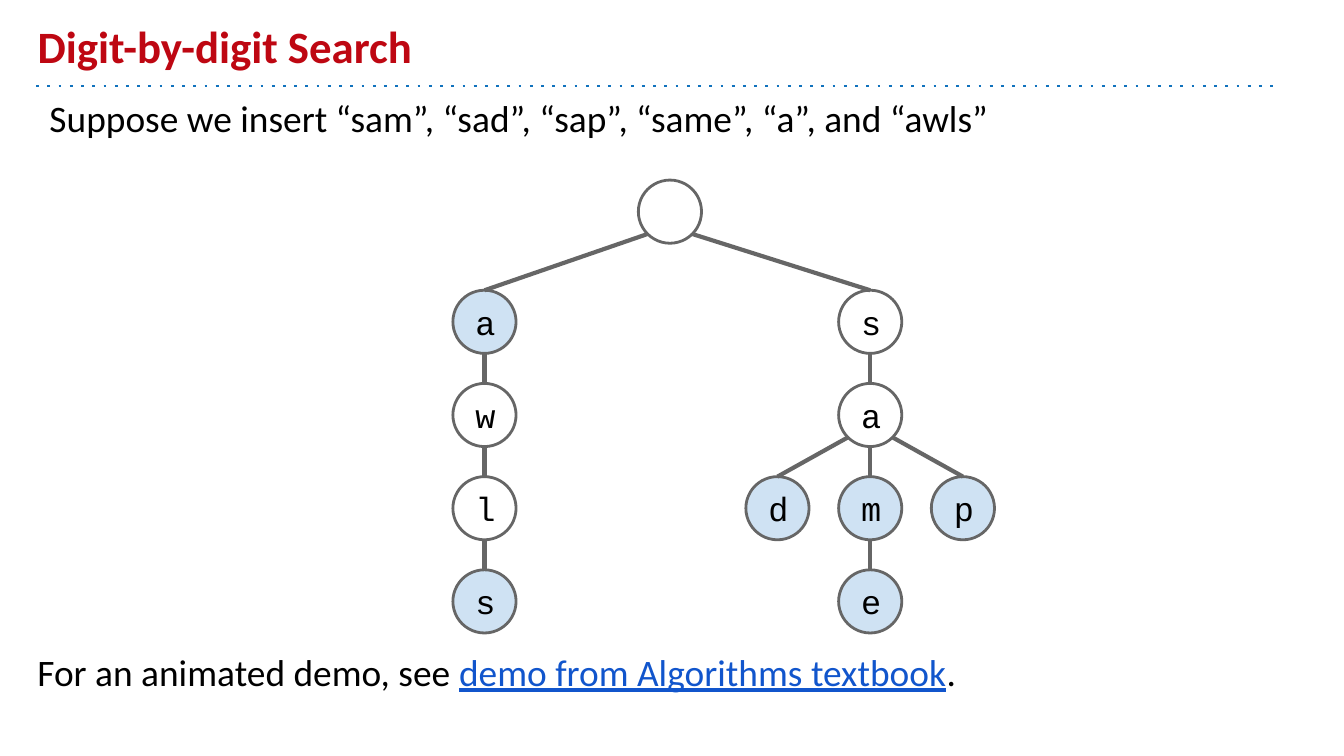
import math
from dataclasses import dataclass

from lxml import etree
from pptx import Presentation
from pptx import util as u
from pptx.dml.color import RGBColor
from pptx.enum import dml, shapes, text
from pptx.oxml.ns import qn

SLIDE_WIDTH = 10
SLIDE_HEIGHT = SLIDE_WIDTH * 9 / 16
DIAMETER = 0.47
TOP_ROW, BOTTOM_ROW = 2.16, 4.24
ROW_STEP = (BOTTOM_ROW - TOP_ROW) / 3
LEFT_BRANCH, RIGHT_BRANCH, SIBLING_STEP = 3.37, 6.24, 0.69
WORD_END, PREFIX, EDGE = "CFE2F3", "FFFFFF", "666666"


@dataclass
class Node:
    name: str
    left: float
    top: float
    parent: str = ""
    ends_word: bool = False

    @property
    def letter(self) -> str:
        return self.name[-1:]

    @property
    def center_x(self) -> float:
        return self.left + DIAMETER / 2


@dataclass
class Span:
    words: str
    color: str = "000000"
    underline: bool = False


def row(depth: int) -> float:
    return TOP_ROW + depth * ROW_STEP


# Each node is named after the prefix that leads to it.
NODES = [
    Node("", 4.75, 1.34),
    Node("a", LEFT_BRANCH, row(0), "", True),
    Node("aw", LEFT_BRANCH, row(1), "a"),
    Node("awl", LEFT_BRANCH, row(2), "aw"),
    Node("awls", LEFT_BRANCH, row(3), "awl", True),
    Node("s", RIGHT_BRANCH, row(0), ""),
    Node("sa", RIGHT_BRANCH, row(1), "s"),
    Node("sad", RIGHT_BRANCH - SIBLING_STEP, row(2), "sa", True),
    Node("sam", RIGHT_BRANCH, row(2), "sa", True),
    Node("sap", RIGHT_BRANCH + SIBLING_STEP, row(2), "sa", True),
    Node("same", RIGHT_BRANCH, row(3), "sam", True),
]


def rgb(color: str) -> RGBColor:
    return RGBColor.from_string(color)


def add_span(para, span: Span, size: float, font: str = "Calibri", bold: bool = False) -> None:
    run = para.add_run()
    run.text = span.words
    run.font.name = font
    run.font.size = u.Pt(size)
    run.font.bold = bold
    run.font.underline = span.underline
    run.font.color.rgb = rgb(span.color)


def set_frame(frame, anchor) -> None:
    frame.word_wrap = True
    frame.auto_size = text.MSO_AUTO_SIZE.NONE
    frame.vertical_anchor = anchor
    frame.margin_left = frame.margin_right = u.Inches(0.1)
    frame.margin_top = frame.margin_bottom = u.Inches(0.1)


def add_title(slide, words: str) -> None:
    title = slide.shapes.title
    title.left, title.top = u.Inches(0.18), u.Inches(0.1)
    title.width, title.height = u.Inches(9), u.Inches(0.54)
    set_frame(title.text_frame, text.MSO_ANCHOR.BOTTOM)
    para = title.text_frame.paragraphs[0]
    para.alignment = text.PP_ALIGN.LEFT
    add_span(para, Span(words, "BE0712"), 24, bold=True)


def add_body(slide, left: float, top: float, spans: list[Span]) -> None:
    box = slide.shapes.add_textbox(u.Inches(left), u.Inches(top), u.Inches(9.23), u.Inches(0.73))
    set_frame(box.text_frame, text.MSO_ANCHOR.TOP)
    para = box.text_frame.paragraphs[0]
    para.space_before = u.Pt(6)
    for span in spans:
        add_span(para, span, 20)


def add_line(slide, start: tuple[float, float], end: tuple[float, float],
             color: str, width: float):
    line = slide.shapes.add_connector(
        shapes.MSO_CONNECTOR.STRAIGHT, *(u.Inches(value) for value in (*start, *end)))
    line.line.color.rgb = rgb(color)
    line.line.width = u.Pt(width)
    etree.SubElement(line._element.spPr, qn("a:effectLst"))
    return line


def add_dotted_rule(slide) -> None:
    rule = add_line(slide, (0.27, 0.64), (9.5, 0.64), "1072BD", 1.5)
    rule.line.dash_style = dml.MSO_LINE.ROUND_DOT
    # The widely spaced "dot" pattern has no member in MSO_LINE.
    next(rule._element.iter(qn("a:prstDash"))).set("val", "dot")


def add_node(slide, node: Node):
    circle = slide.shapes.add_shape(
        shapes.MSO_SHAPE.OVAL, u.Inches(node.left), u.Inches(node.top),
        u.Inches(DIAMETER), u.Inches(DIAMETER))
    circle.shadow.inherit = False
    circle.fill.solid()
    circle.fill.fore_color.rgb = rgb(WORD_END if node.ends_word else PREFIX)
    circle.line.color.rgb = rgb(EDGE)
    circle.line.width = u.Pt(1.5)
    if node.letter:
        set_frame(circle.text_frame, text.MSO_ANCHOR.MIDDLE)
        para = circle.text_frame.paragraphs[0]
        para.alignment = text.PP_ALIGN.CENTER
        add_span(para, Span(node.letter), 18, "Courier New")
    return circle


def add_edge(slide, parent: Node, child: Node, child_circle) -> None:
    """Leave the parent at the bottom or a lower diagonal; reach the child's top."""
    radius = DIAMETER / 2
    side = (child.left > parent.left) - (child.left < parent.left)
    angle = side * math.pi / 4
    start = (parent.center_x + radius * math.sin(angle),
             parent.top + radius + radius * math.cos(angle))
    line = add_line(slide, start, (child.center_x, child.top), EDGE, 2.25)
    line.end_connect(child_circle, 0)


def main() -> None:
    deck = Presentation()
    deck.slide_width, deck.slide_height = u.Inches(SLIDE_WIDTH), u.Inches(SLIDE_HEIGHT)
    slide = deck.slides.add_slide(deck.slide_layouts[5])

    add_dotted_rule(slide)
    add_title(slide, "Digit-by-digit Search")
    add_body(slide, 0.27, 0.61,
             [Span("Suppose we insert “sam”, “sad”, “sap”, “same”, “a”, and “awls”")])

    by_name = {node.name: node for node in NODES}
    circles = {node.name: add_node(slide, node) for node in NODES}
    for node in NODES[1:]:
        add_edge(slide, by_name[node.parent], node, circles[node.name])

    add_body(slide, 0.18, 4.73, [
        Span("For an animated demo, see "),
        Span("demo from Algorithms textbook", "1155CC", True),
        Span("."),
    ])
    deck.save("out.pptx")


if __name__ == "__main__":
    main()
